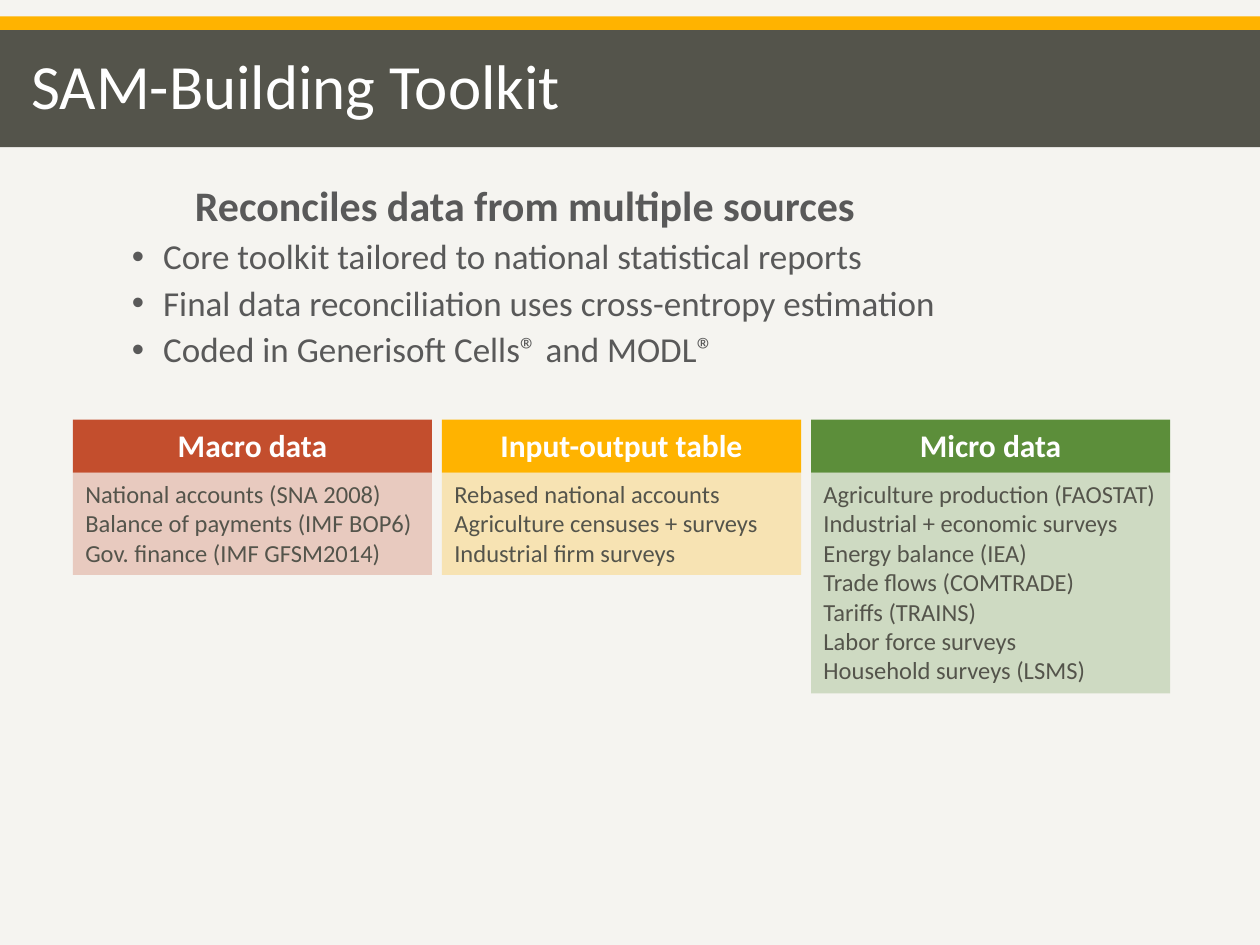
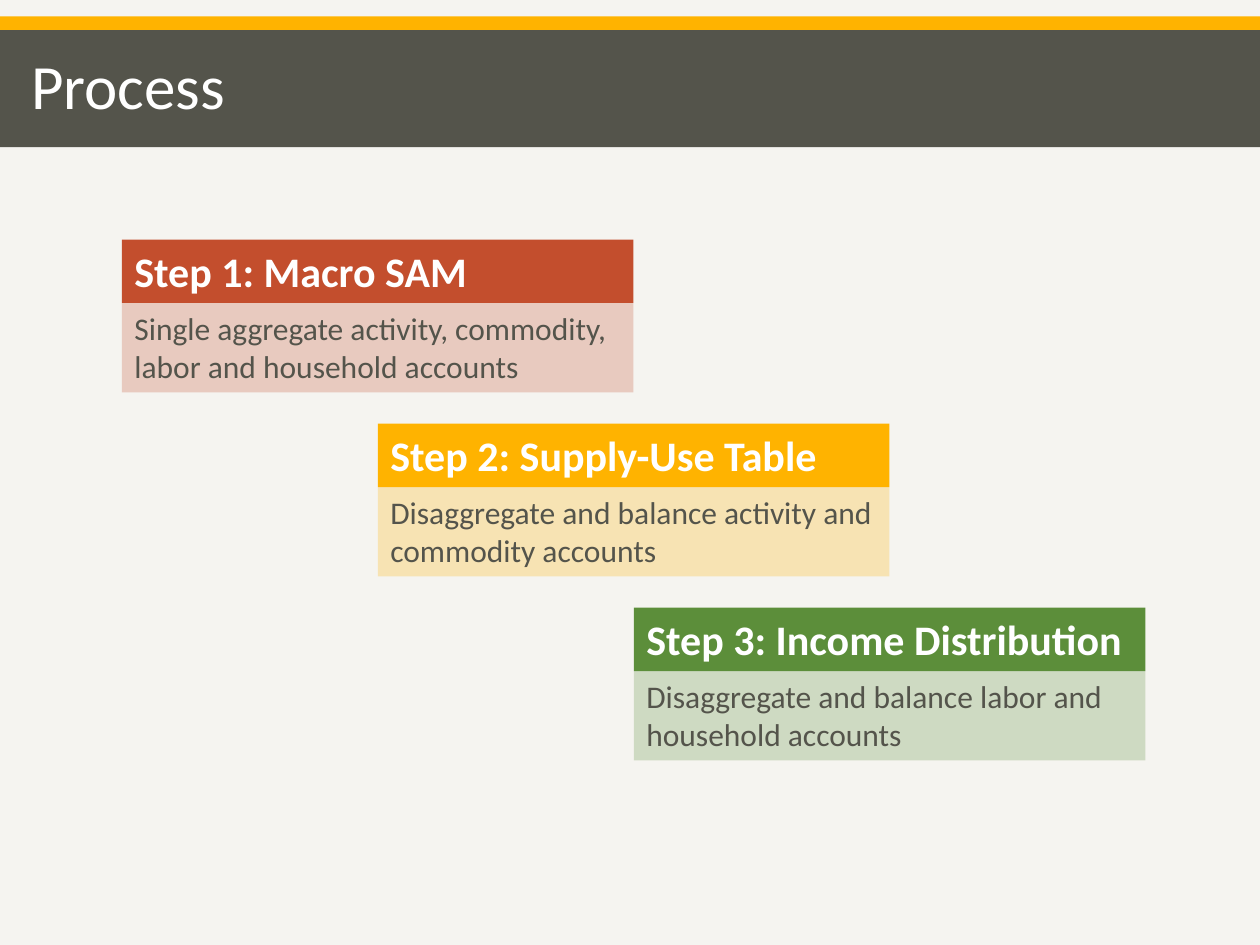
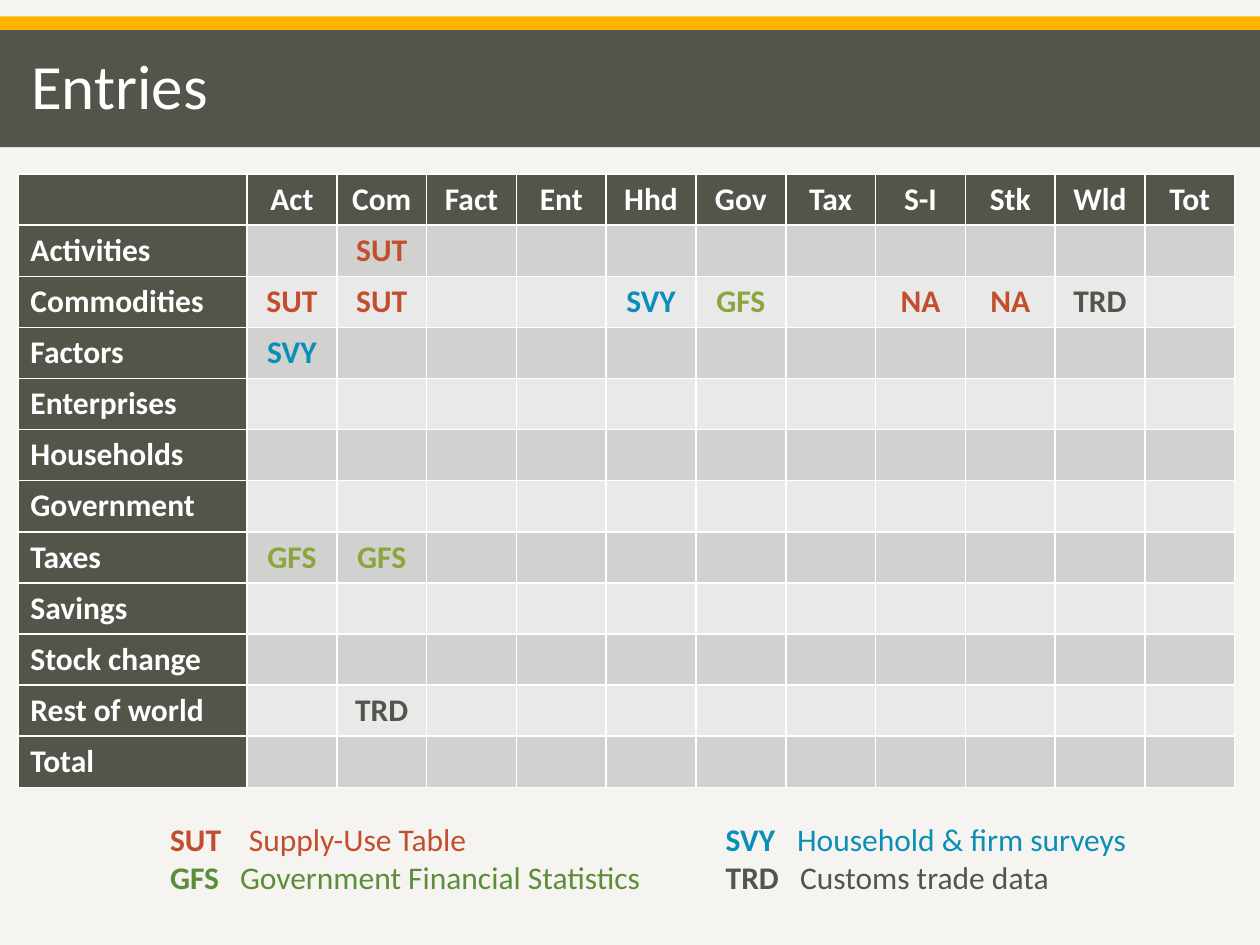
from dataclasses import dataclass
from typing import Any

import pptx
import pptx.dml.color
import pptx.enum.shapes
import pptx.enum.text
import pptx.oxml.ns
import pptx.presentation
import pptx.shapes.autoshape
import pptx.slide
import pptx.table
import pptx.text.text
import pptx.util
from lxml import etree
from pptx.dml.color import RGBColor
from pptx.util import Cm

FONT = "Calibri"
BACKGROUND = RGBColor(0xF5, 0xF4, 0xF0)
WHITE = RGBColor(0xFF, 0xFF, 0xFF)
CHARCOAL = RGBColor(0x54, 0x54, 0x4B)
GRAY = RGBColor(0x59, 0x59, 0x59)
AMBER = RGBColor(0xFF, 0xB3, 0x00)
RED = RGBColor(0xC3, 0x4E, 0x2D)
GREEN = RGBColor(0x5C, 0x8E, 0x3A)
OLIVE = RGBColor(0x8A, 0xA6, 0x3D)
BLUE = RGBColor(0x0B, 0x8E, 0xB8)
DARK_ROW = RGBColor(0xD1, 0xD1, 0xD0)
LIGHT_ROW = RGBColor(0xE9, 0xE9, 0xE9)

LEFT = pptx.enum.text.PP_ALIGN.LEFT
CENTER = pptx.enum.text.PP_ALIGN.CENTER
TOP = pptx.enum.text.MSO_ANCHOR.TOP
MIDDLE = pptx.enum.text.MSO_ANCHOR.MIDDLE

SLIDE_WIDTH = 25.4
CARD_COLORS = (RED, AMBER, GREEN)
BODY_OPACITY = 25


@dataclass(frozen=True)
class Box:
    """A rectangle in centimetres."""

    left: float
    top: float
    width: float
    height: float

    def lengths(self) -> tuple[Cm, ...]:
        return tuple(Cm(side) for side in (self.left, self.top, self.width, self.height))


@dataclass(frozen=True)
class Card:
    heading: str
    lines: tuple[str, ...]
    body_height: float


@dataclass(frozen=True)
class CardStyle:
    """Placement and type of a row or staircase of cards, in centimetres and points."""

    left: float
    top: float
    step_right: float
    step_down: float
    width: float
    heading_height: float
    heading_size: int
    body_size: int
    heading_alignment: Any


@dataclass(frozen=True)
class LegendEntry:
    code: str
    meaning: str
    color: RGBColor
    tab: float


TITLE_BAND = Box(0, 0.61, SLIDE_WIDTH, 2.36)
ACCENT_BAND = Box(0, 0.33, SLIDE_WIDTH, 0.28)

DATA_STYLE = CardStyle(1.47, 8.46, 7.44, 0, 7.24, 1.07, 18, 14, CENTER)
DATA_CARDS = (
    Card("Macro data", ("National accounts (SNA 2008)", "Balance of payments (IMF BOP6)",
                        "Gov. finance (IMF GFSM2014)"), 2.06),
    Card("Input-output table", ("Rebased national accounts", "Agriculture censuses + surveys",
                                "Industrial firm surveys"), 2.06),
    Card("Micro data", ("Agriculture production (FAOSTAT)", "Industrial + economic surveys",
                        "Energy balance (IEA)", "Trade flows (COMTRADE)", "Tariffs (TRAINS)",
                        "Labor force surveys", "Household surveys (LSMS)"), 4.45),
)

STEP_STYLE = CardStyle(2.46, 4.83, 5.16, 3.71, 10.31, 1.28, 24, 18, LEFT)
STEP_CARDS = (
    Card("Step 1: Macro SAM",
         ("Single aggregate activity, commodity, labor and household accounts",), 1.8),
    Card("Step 2: Supply-Use Table",
         ("Disaggregate and balance activity and commodity accounts",), 1.8),
    Card("Step 3: Income Distribution",
         ("Disaggregate and balance labor and household accounts",), 1.8),
)

TOOLKIT_HEADING = "Reconciles data from multiple sources"
TOOLKIT_POINTS = (
    "Core toolkit tailored to national statistical reports",
    "Final data reconciliation uses cross-entropy estimation",
    "Coded in Generisoft Cells® and MODL®",
)

COLUMNS = ("Act", "Com", "Fact", "Ent", "Hhd", "Gov", "Tax", "S-I", "Stk", "Wld", "Tot")
ACCOUNTS = ("Activities", "Commodities", "Factors", "Enterprises", "Households", "Government",
            "Taxes", "Savings", "Stock change", "Rest of world", "Total")
ENTRIES = {
    ("Activities", "Com"): "SUT",
    ("Commodities", "Act"): "SUT",
    ("Commodities", "Com"): "SUT",
    ("Commodities", "Hhd"): "SVY",
    ("Commodities", "Gov"): "GFS",
    ("Commodities", "S-I"): "NA",
    ("Commodities", "Stk"): "NA",
    ("Commodities", "Wld"): "TRD",
    ("Factors", "Act"): "SVY",
    ("Taxes", "Act"): "GFS",
    ("Taxes", "Com"): "GFS",
    ("Rest of world", "Com"): "TRD",
}
ENTRY_COLORS = {"SUT": RED, "NA": RED, "SVY": BLUE, "GFS": OLIVE, "TRD": CHARCOAL}
LABEL_WIDTH, ENTRY_WIDTH, ROW_HEIGHT = 4.62, 1.81, 1.03

LEGEND = {
    3.18: (LegendEntry("SUT", "Supply-Use Table", RED, 1.59),
           LegendEntry("GFS", "Government Financial Statistics", GREEN, 1.41)),
    14.38: (LegendEntry("SVY", "Household & firm surveys", BLUE, 1.44),
            LegendEntry("TRD", "Customs trade data", CHARCOAL, 1.5)),
}


def add_element(parent: Any, tag: str, **attributes: Any) -> Any:
    return etree.SubElement(parent, pptx.oxml.ns.qn(tag),
                            {name: str(value) for name, value in attributes.items()})


def add_run(paragraph: pptx.text.text._Paragraph, text: str, size: int, color: RGBColor,
            bold: bool = False) -> None:
    run = paragraph.add_run()
    run.text = text
    font_format = {"name": FONT, "size": pptx.util.Pt(size), "bold": bold}
    for attribute, value in font_format.items():
        setattr(run.font, attribute, value)
    run.font.color.rgb = color


def next_paragraph(frame: pptx.text.text.TextFrame, index: int) -> pptx.text.text._Paragraph:
    return frame.add_paragraph() if index else frame.paragraphs[0]


def add_text_box(slide: pptx.slide.Slide, box: Box, anchor: Any = TOP) -> pptx.text.text.TextFrame:
    frame = slide.shapes.add_textbox(*box.lengths()).text_frame
    frame.word_wrap = True
    frame.vertical_anchor = anchor
    return frame


def add_rectangle(slide: pptx.slide.Slide, box: Box, color: RGBColor,
                  opacity: int = 100) -> pptx.shapes.autoshape.Shape:
    shape = slide.shapes.add_shape(pptx.enum.shapes.MSO_SHAPE.RECTANGLE, *box.lengths())
    shape.shadow.inherit = False
    shape.fill.solid()
    shape.fill.fore_color.rgb = color
    shape.line.fill.background()
    if opacity < 100:
        fill_color = shape._element.spPr.find(pptx.oxml.ns.qn("a:solidFill"))[0]
        add_element(fill_color, "a:alpha", val=opacity * 1000)
    return shape


def write_lines(shape: pptx.shapes.autoshape.Shape, lines: tuple[str, ...], size: int,
                color: RGBColor, bold: bool = False, alignment: Any = LEFT) -> None:
    frame = shape.text_frame
    frame.word_wrap = True
    frame.vertical_anchor = TOP
    for index, line in enumerate(lines):
        paragraph = next_paragraph(frame, index)
        paragraph.alignment = alignment
        add_run(paragraph, line, size, color, bold)


def add_cards(slide: pptx.slide.Slide, cards: tuple[Card, ...], style: CardStyle) -> None:
    for index, (card, color) in enumerate(zip(cards, CARD_COLORS)):
        left = style.left + index * style.step_right
        top = style.top + index * style.step_down
        heading = add_rectangle(slide, Box(left, top, style.width, style.heading_height), color)
        write_lines(heading, (card.heading,), style.heading_size, WHITE, True,
                    style.heading_alignment)
        body_box = Box(left, top + style.heading_height, style.width, card.body_height)
        body = add_rectangle(slide, body_box, color, BODY_OPACITY)
        write_lines(body, card.lines, style.body_size, CHARCOAL)


def add_titled_slide(presentation: pptx.presentation.Presentation, title: str) -> pptx.slide.Slide:
    slide = presentation.slides.add_slide(presentation.slide_layouts[6])
    add_rectangle(slide, ACCENT_BAND, AMBER)
    add_rectangle(slide, TITLE_BAND, CHARCOAL)
    title_box = Box(0.38, TITLE_BAND.top, 22.43, TITLE_BAND.height)
    paragraph = add_text_box(slide, title_box, MIDDLE).paragraphs[0]
    paragraph.line_spacing = 0.9
    add_run(paragraph, title, 36, WHITE)
    return slide


def indent(paragraph: pptx.text.text._Paragraph, margin: float, first_line: float = 0) -> Any:
    """Set the left margin and first-line offset; return the paragraph properties."""
    properties = paragraph._p.get_or_add_pPr()
    for name, value in {"marL": margin, "indent": first_line}.items():
        properties.set(name, str(int(Cm(value))))
    return properties


def add_toolkit_points(slide: pptx.slide.Slide) -> None:
    frame = add_text_box(slide, Box(1.14, 3.61, 23.77, 4.24))
    heading = frame.paragraphs[0]
    indent(heading, 2.54)
    heading.line_spacing = 0.9
    add_run(heading, TOOLKIT_HEADING, 24, GRAY, True)
    for point in TOOLKIT_POINTS:
        paragraph = frame.add_paragraph()
        paragraph.level = 1
        properties = indent(paragraph, 1.9, -0.63)
        add_element(properties, "a:buFont", typeface="Arial")
        add_element(properties, "a:buChar", char="•")
        paragraph.line_spacing = 0.9
        paragraph.space_before = pptx.util.Pt(5)
        add_run(paragraph, point, 20, GRAY)


def fill_cell(cell: pptx.table._Cell, fill: RGBColor, text: str, color: RGBColor,
              alignment: Any) -> None:
    properties = cell._tc.get_or_add_tcPr()
    for side in ("a:lnL", "a:lnR", "a:lnT", "a:lnB"):
        line = add_element(properties, side, w=int(pptx.util.Pt(1)))
        add_element(add_element(line, "a:solidFill"), "a:srgbClr", val=WHITE)
    cell.fill.solid()
    cell.fill.fore_color.rgb = fill
    if text:
        paragraph = cell.text_frame.paragraphs[0]
        paragraph.alignment = alignment
        add_run(paragraph, text, 18, color, True)


def add_entries_table(slide: pptx.slide.Slide) -> None:
    row_count, column_count = len(ACCOUNTS) + 1, len(COLUMNS) + 1
    box = Box(0.36, 3.51, LABEL_WIDTH + len(COLUMNS) * ENTRY_WIDTH, row_count * ROW_HEIGHT)
    table = slide.shapes.add_table(row_count, column_count, *box.lengths()).table
    for index, column in enumerate(table.columns):
        column.width = Cm(ENTRY_WIDTH if index else LABEL_WIDTH)
    for row in table.rows:
        row.height = Cm(ROW_HEIGHT)

    for index, heading in enumerate(("", *COLUMNS)):
        fill_cell(table.cell(0, index), CHARCOAL, heading, WHITE, CENTER)
    for row_index, account in enumerate(ACCOUNTS, start=1):
        fill_cell(table.cell(row_index, 0), CHARCOAL, account, WHITE, LEFT)
        row_fill = DARK_ROW if row_index % 2 else LIGHT_ROW
        for column_index, heading in enumerate(COLUMNS, start=1):
            code = ENTRIES.get((account, heading), "")
            fill_cell(table.cell(row_index, column_index), row_fill, code,
                      ENTRY_COLORS.get(code, CHARCOAL), CENTER)


def add_legend(slide: pptx.slide.Slide) -> None:
    for left, entries in LEGEND.items():
        frame = add_text_box(slide, Box(left, 16.41, 10.21, 1.8))
        for index, entry in enumerate(entries):
            paragraph = next_paragraph(frame, index)
            tabs = add_element(paragraph._p.get_or_add_pPr(), "a:tabLst")
            add_element(tabs, "a:tab", pos=int(Cm(entry.tab)), algn="l")
            add_run(paragraph, f"{entry.code}\t", 18, entry.color, True)
            add_run(paragraph, entry.meaning, 18, entry.color)


def main() -> None:
    presentation = pptx.Presentation()
    presentation.slide_width = Cm(SLIDE_WIDTH)
    presentation.slide_height = Cm(19.05)
    background = presentation.slide_master.background.fill
    background.solid()
    background.fore_color.rgb = BACKGROUND

    toolkit = add_titled_slide(presentation, "SAM-Building Toolkit")
    add_toolkit_points(toolkit)
    add_cards(toolkit, DATA_CARDS, DATA_STYLE)

    process = add_titled_slide(presentation, "Process")
    add_cards(process, STEP_CARDS, STEP_STYLE)

    entries = add_titled_slide(presentation, "Entries")
    add_entries_table(entries)
    add_legend(entries)

    presentation.save("out.pptx")


if __name__ == "__main__":
    main()
